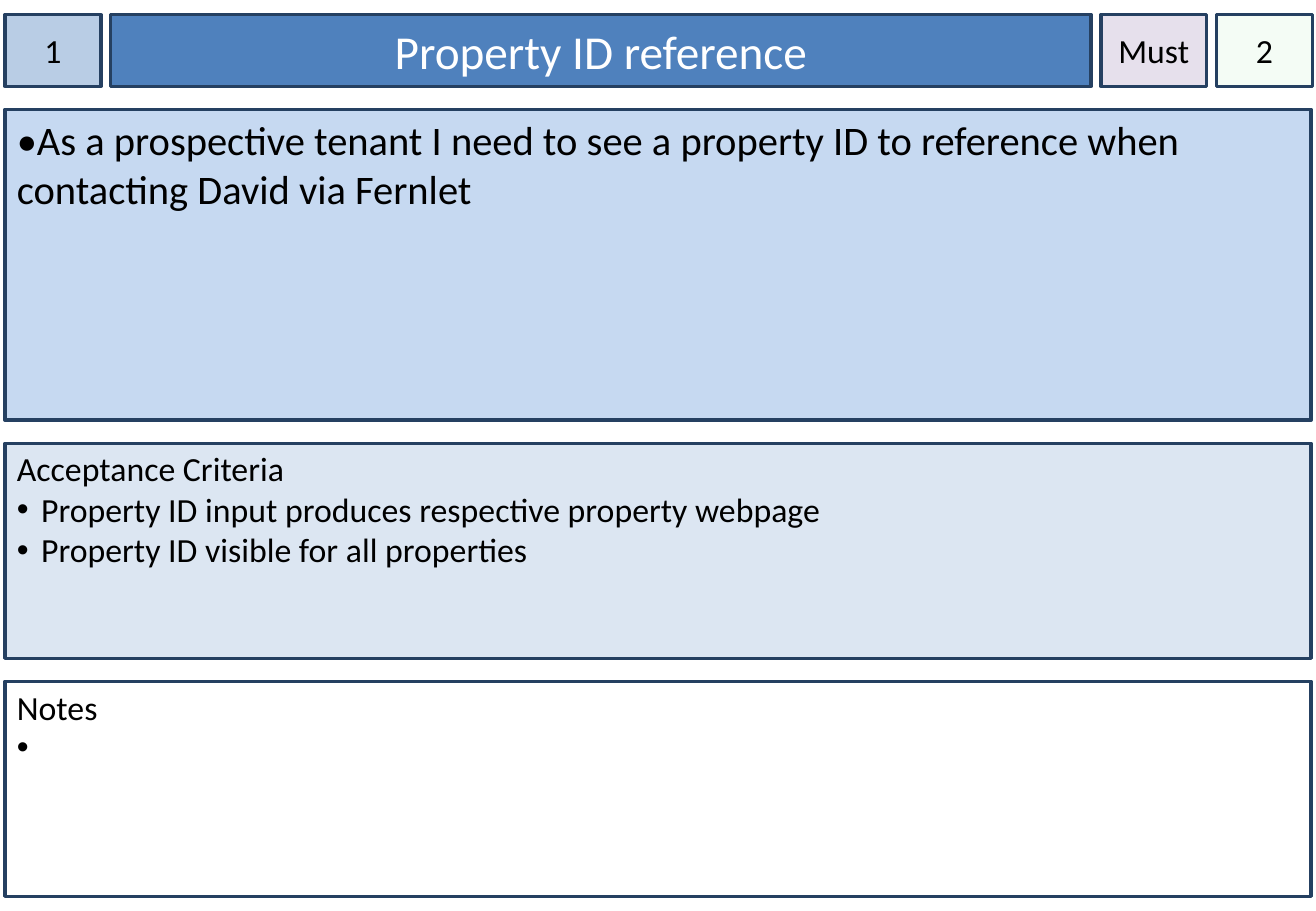
from itertools import accumulate
from lxml.etree import SubElement
from pptx import Presentation
from pptx.dml.color import RGBColor
from pptx.enum.shapes import MSO_SHAPE
from pptx.enum.text import MSO_ANCHOR, MSO_AUTO_SIZE, PP_ALIGN
from pptx.oxml.ns import qn
from pptx.util import Inches, Pt

HUES = {
    "edge": "254061", "ink": "000000", "white": "FFFFFF", "title": "4F81BD",
    "number": "B9CDE5", "must": "E6E0EC", "points": "CCF0CD",
    "story": "C6D9F1", "tests": "DCE6F2",
}
COLS = [0.79, 8.07, 0.87, 0.79]
ROWS = [0.59, 2.56, 1.77, 1.77]


def starts(sizes, first, gap):
    return list(accumulate((size + gap for size in sizes[:-1]), initial=first))


class Card:
    font = "Calibri"
    lefts = starts(COLS, 0.04, 0.08)
    tops = starts(ROWS, 0.12, 0.19)
    wide = 10.75
    indent = Inches(0.2)
    badge = dict(margin_left=0, margin_right=0, vertical_anchor=MSO_ANCHOR.MIDDLE)
    banner = dict(vertical_anchor=MSO_ANCHOR.MIDDLE)
    panel = dict(vertical_anchor=MSO_ANCHOR.TOP)
    notes = dict(panel, margin_top=Inches(0.04))

    def __init__(self, deck):
        self.slide = deck.slides.add_slide(deck.slide_layouts[5])

    def place(self, row, col=None):
        """Return the box of one cell, or of the whole row without a column."""
        left, width = (self.lefts[0], self.wide) if col is None else (self.lefts[col], COLS[col])
        return [Inches(n) for n in (left, self.tops[row], width, ROWS[row])]

    def paint(self, shape, hue, form):
        shape.shadow.inherit = False
        shape.fill.solid()
        shape.fill.fore_color.rgb = RGBColor.from_string(HUES[hue])
        shape.line.color.rgb = RGBColor.from_string(HUES["edge"])
        shape.line.width = Pt(2)
        form = dict(word_wrap=True, auto_size=MSO_AUTO_SIZE.NONE) | form
        for name, value in form.items():
            setattr(shape.text_frame, name, value)

    def add_text(self, para, text, size, align, ink="ink"):
        run = para.add_run()
        run.text = text
        para.alignment = align
        for name, value in dict(name=self.font, size=Pt(size)).items():
            setattr(run.font, name, value)
        run.font.color.rgb = RGBColor.from_string(HUES[ink])

    def title(self, text):
        shape = self.slide.shapes.title
        shape.left, shape.top, shape.width, shape.height = self.place(0, 1)
        self.paint(shape, "title", self.banner)
        self.add_text(shape.text_frame.paragraphs[0], text, 28, PP_ALIGN.CENTER, "white")

    def box(self, place, text, hue, form, size=20, align=PP_ALIGN.LEFT):
        shape = self.slide.shapes.add_shape(MSO_SHAPE.RECTANGLE, *place)
        self.paint(shape, hue, form)
        self.add_text(shape.text_frame.paragraphs[0], text, size, align)
        return shape

    def label(self, col, text, hue, **form):
        return self.box(self.place(0, col), text, hue, self.badge | form, align=PP_ALIGN.CENTER)

    def bullets(self, row, head, items, hue):
        frame = self.box(self.place(row), head, hue, self.notes).text_frame
        for item in items:
            para = frame.add_paragraph()
            self.add_text(para, item, 20, PP_ALIGN.LEFT)
            props = para._p.get_or_add_pPr()
            props.set("marL", str(self.indent))
            props.set("indent", str(-self.indent))
            SubElement(props, qn("a:buFont"), typeface="Arial")
            SubElement(props, qn("a:buChar"), char="•")

    def fade(self, shape, share):
        """Set the opacity of the fill in percent."""
        tint = shape.fill._xPr.find(qn("a:solidFill"))[0]
        SubElement(tint, qn("a:alpha"), val=str(share * 1000))


deck = Presentation()
deck.slide_width, deck.slide_height = Inches(10.83), Inches(7.5)
card = Card(deck)
card.title("Property ID reference")
card.label(0, "1", "number")
card.label(2, "Must", "must", word_wrap=False)
card.fade(card.label(3, "2", "points"), 20)
card.box(
    card.place(1),
    "•As a prospective tenant I need to see a property ID to reference when "
    "contacting David via Fernlet",
    "story", card.panel, size=24,
)
card.bullets(2, "Acceptance Criteria", [
    "Property ID input produces respective property webpage",
    "Property ID visible for all properties",
], "tests")
card.bullets(3, "Notes", [" "], "white")
deck.save("out.pptx")
